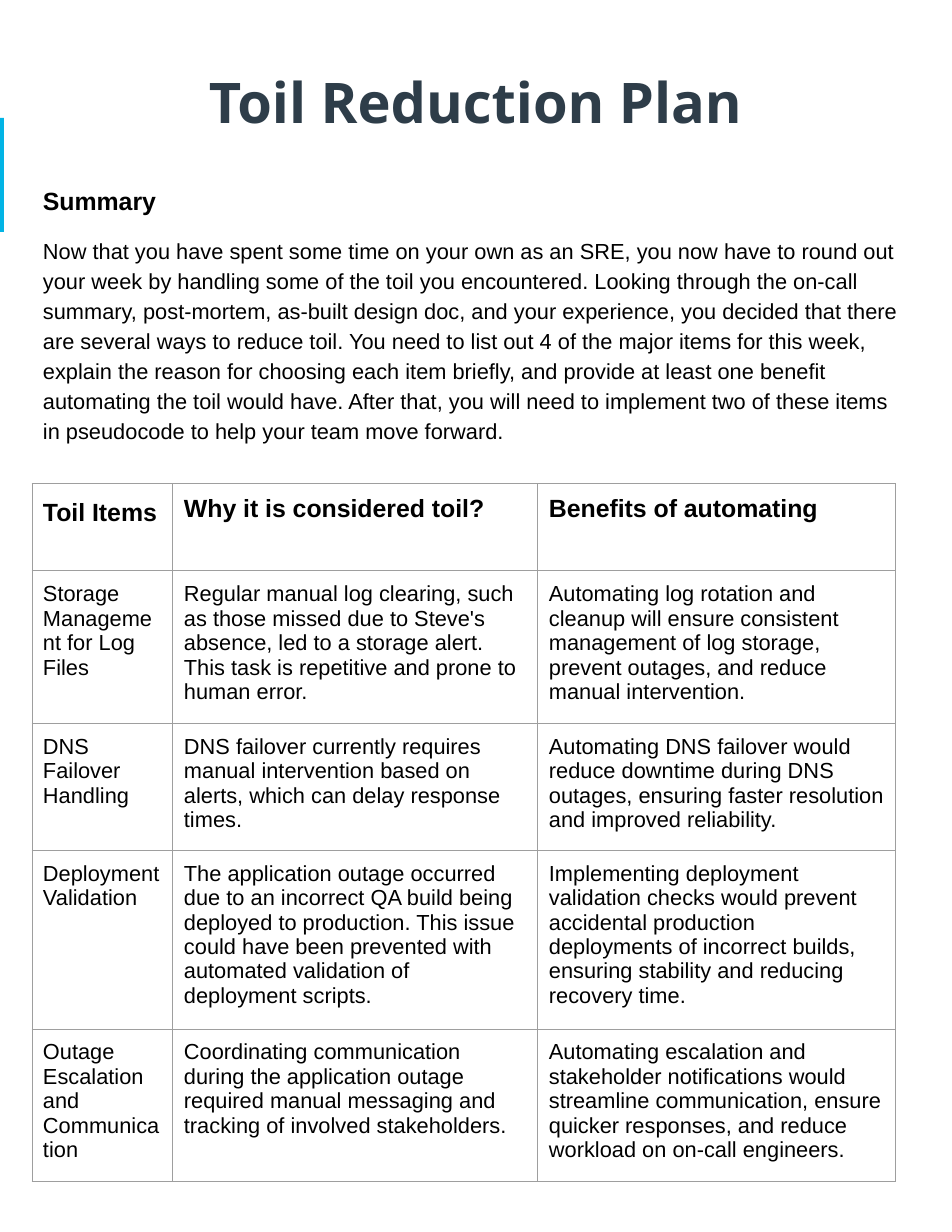
from lxml import etree
from pptx import Presentation
from pptx import util as u
from pptx.dml.color import RGBColor
from pptx.enum import shapes, text
from pptx.oxml.ns import qn

EMU_PER_PX = 914400 / 112
INSET = 11
INK = "000000"
BORDER = "9E9E9E"
HEADING = {"size": u.Pt(16), "name": "Arial", "bold": True}
BODY = {"size": u.Pt(14), "name": "Arial", "bold": False}
TITLE = {"size": u.Pt(36), "name": "Open Sans", "bold": True}
FRAME_MARGINS = ("margin_left", "margin_top", "margin_right", "margin_bottom")

SUMMARY = (
    "Now that you have spent some time on your own as an SRE, you now have to round out "
    "your week by handling some of the toil you encountered. Looking through the on-call "
    "summary, post-mortem, as-built design doc, and your experience, you decided that there "
    "are several ways to reduce toil. You need to list out 4 of the major items for this week, "
    "explain the reason for choosing each item briefly, and provide at least one benefit "
    "automating the toil would have. After that, you will need to implement two of these items "
    "in pseudocode to help your team move forward."
)

HEADERS = [
    ("Toil Items", {"line_spacing": 1.15, "space_before": u.Pt(12)}),
    ("Why it is considered toil?", {"space_before": u.Pt(12), "space_after": u.Pt(12)}),
    ("Benefits of automating", {"space_before": u.Pt(12), "space_after": u.Pt(12)}),
]

TOIL_ITEMS = [
    ("Storage Management for Log Files",
     "Regular manual log clearing, such as those missed due to Steve's absence, led to a "
     "storage alert. This task is repetitive and prone to human error.",
     "Automating log rotation and cleanup will ensure consistent management of log storage, "
     "prevent outages, and reduce manual intervention."),
    ("DNS Failover Handling",
     "DNS failover currently requires manual intervention based on alerts, which can delay "
     "response times.",
     "Automating DNS failover would reduce downtime during DNS outages, ensuring faster "
     "resolution and improved reliability."),
    ("Deployment Validation",
     "The application outage occurred due to an incorrect QA build being deployed to "
     "production. This issue could have been prevented with automated validation of "
     "deployment scripts.",
     "Implementing deployment validation checks would prevent accidental production "
     "deployments of incorrect builds, ensuring stability and reducing recovery time."),
    ("Outage Escalation and Communication",
     "Coordinating communication during the application outage required manual messaging "
     "and tracking of involved stakeholders.",
     "Automating escalation and stakeholder notifications would streamline communication, "
     "ensure quicker responses, and reduce workload on on-call engineers."),
]


def px(length):
    return u.Emu(round(length * EMU_PER_PX))


def colour(value):
    return RGBColor.from_string(value)


def apply(target, values):
    for name, value in values.items():
        setattr(target, name, value)


def write(paragraph, words, font, ink=INK, layout=None):
    run = paragraph.add_run()
    run.text = words
    apply(run.font, font)
    run.font.color.rgb = colour(ink)
    apply(paragraph, layout or {})


def add_frame(slide, box, anchor):
    frame = slide.shapes.add_textbox(*map(px, box)).text_frame
    apply(frame, {"word_wrap": True, "vertical_anchor": anchor})
    apply(frame, dict.fromkeys(FRAME_MARGINS, px(INSET)))
    return frame


def add_accent(slide, box):
    accent = slide.shapes.add_shape(shapes.MSO_SHAPE.RECTANGLE, *map(px, box))
    accent.shadow.inherit = False
    accent.fill.solid()
    accent.fill.fore_color.rgb = colour("02B4E5")
    accent.line.fill.background()


def add_title(slide, box):
    frame = add_frame(slide, box, text.MSO_ANCHOR.MIDDLE)
    write(frame.paragraphs[0], "Toil Reduction Plan", TITLE, "2E3D49",
          {"alignment": text.PP_ALIGN.CENTER})


def add_summary(slide, box):
    frame = add_frame(slide, box, text.MSO_ANCHOR.TOP)
    write(frame.paragraphs[0], "Summary", HEADING,
          layout={"line_spacing": 1.15, "space_before": u.Pt(14)})
    write(frame.add_paragraph(), SUMMARY, BODY,
          layout={"line_spacing": 1.15, "space_before": u.Pt(12)})


def outline(cell):
    properties = cell._tc.get_or_add_tcPr()
    for place, side in enumerate(("lnL", "lnR", "lnT", "lnB")):
        line = etree.Element(qn(f"a:{side}"), w=str(u.Pt(0.75)))
        fill = etree.SubElement(line, qn("a:solidFill"))
        etree.SubElement(fill, qn("a:srgbClr"), val=BORDER)
        properties.insert(place, line)


def add_toil_table(slide, box, widths, heights):
    table = slide.shapes.add_table(len(heights), len(widths), *map(px, box)).table
    apply(table, {"first_row": False, "horz_banding": False})
    for column, width in zip(table.columns, widths):
        column.width = px(width)
    for row, height in zip(table.rows, heights):
        row.height = px(height)
    rows = [[(words, HEADING, layout) for words, layout in HEADERS]]
    rows += [[(words, BODY, {}) for words in item] for item in TOIL_ITEMS]
    for row, contents in zip(table.rows, rows):
        for cell, (words, font, layout) in zip(row.cells, contents):
            apply(cell, dict.fromkeys(FRAME_MARGINS, px(INSET)))
            cell.fill.background()
            outline(cell)
            write(cell.text_frame.paragraphs[0], words, font, layout=layout)


def main():
    deck = Presentation()
    apply(deck, {"slide_width": px(952), "slide_height": px(1232)})
    slide = deck.slides.add_slide(deck.slide_layouts[6])
    add_accent(slide, (0, 118, 4, 114))
    add_title(slide, (32, 33, 887, 137))
    add_summary(slide, (32, 170, 887, 299))
    add_toil_table(slide, (32, 484, 864, 527), (141, 365, 358), (87, 109, 109, 109, 113))
    deck.save("out.pptx")


if __name__ == "__main__":
    main()
